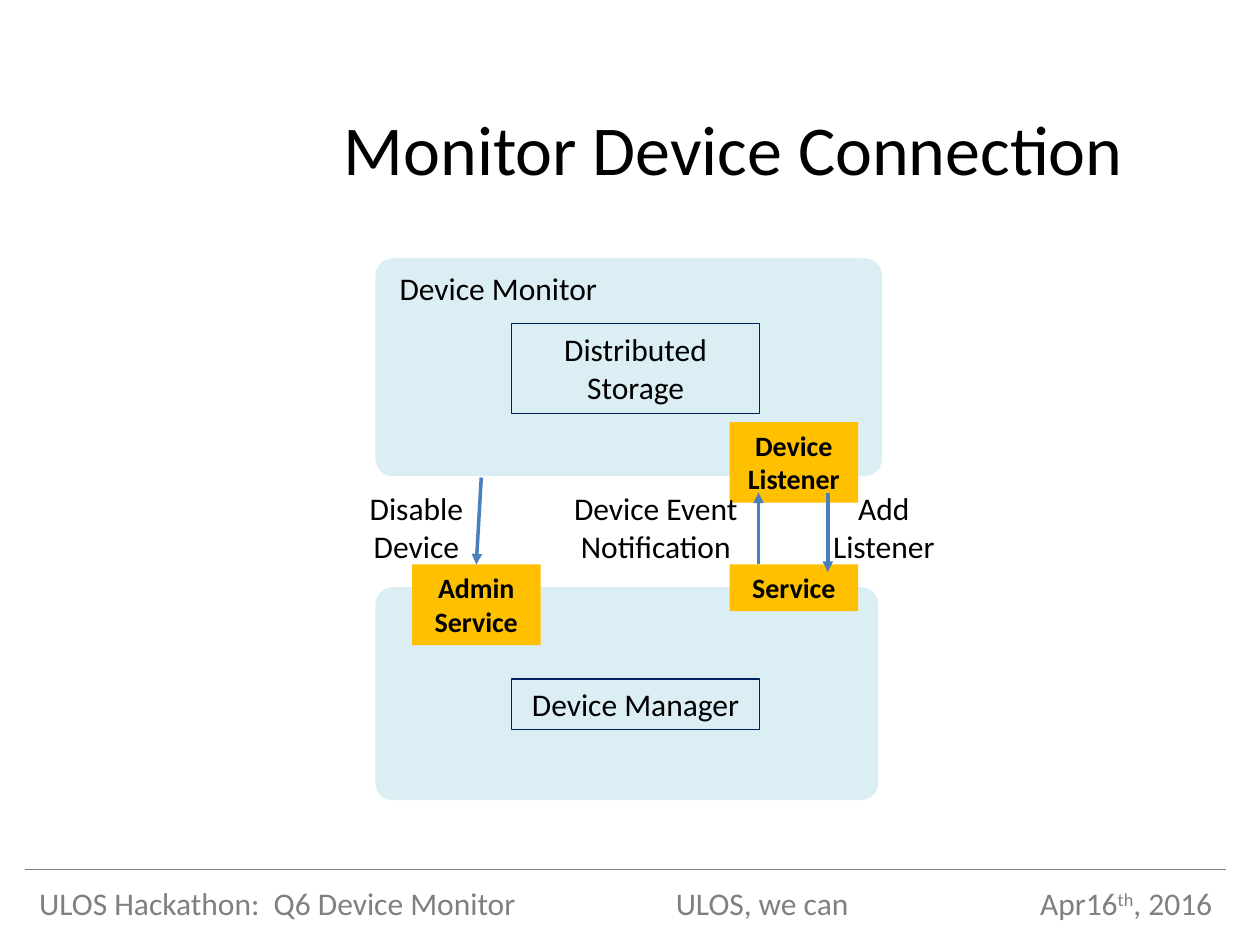
import pptx
import pptx.util
import pptx.dml.color
import pptx.enum.dml
import pptx.enum.shapes
import pptx.enum.text
import pptx.oxml.ns
import lxml.etree

Inches = pptx.util.Inches
Pt = pptx.util.Pt
RGB = pptx.dml.color.RGBColor
Shape = pptx.enum.shapes.MSO_SHAPE
Align = pptx.enum.text.PP_ALIGN
Anchor = pptx.enum.text.MSO_ANCHOR
Fit = pptx.enum.text.MSO_AUTO_SIZE

BLACK = RGB(0x00, 0x00, 0x00)
GREY = RGB(0x80, 0x80, 0x80)
PALE = RGB(0xDB, 0xEE, 0xF4)
GOLD = RGB(0xFF, 0xC0, 0x00)
NAVY = RGB(0x00, 0x20, 0x60)
BLUE = RGB(0x4B, 0x7E, 0xBC)

BODY = {"size": Pt(18), "name": "Calibri", "bold": False}
HEAD = {**BODY, "size": Pt(40)}
BOLD = {**BODY, "size": Pt(16), "bold": True}
GROW = {"word_wrap": True, "auto_size": Fit.SHAPE_TO_FIT_TEXT,
        "vertical_anchor": Anchor.TOP}
FIXED = {**GROW, "auto_size": Fit.NONE}


def apply(target, values):
    for name, value in values.items():
        setattr(target, name, value)


def place(box, left, top, width, height):
    """Turn an offset within a box into slide lengths."""
    return [Inches(v) for v in (box[0] + left, box[1] + top, width, height)]


def write(shape, lines, font=BODY, color=BLACK, align=Align.CENTER, frame=GROW):
    """Fill a shape with paragraphs, each a list of (text, baseline) runs or a string."""
    apply(shape.text_frame, frame)
    for i, line in enumerate(lines):
        para = shape.text_frame.paragraphs[0] if i == 0 else shape.text_frame.add_paragraph()
        para.alignment = align
        for text, base in [(line, 0)] if isinstance(line, str) else line:
            run = para.add_run()
            run.text = text
            apply(run.font, font)
            run.font.color.rgb = color
            if base:
                run.font._element.set("baseline", str(base * 1000))


def add_text(slide, spot, lines, **style):
    write(slide.shapes.add_textbox(*spot), lines, **style)


def add_block(slide, spot, kind=Shape.RECTANGLE, fill=None, line=None):
    block = slide.shapes.add_shape(kind, *spot)
    block.shadow.inherit = False
    if fill is None:
        block.fill.background()
    else:
        block.fill.solid()
        block.fill.fore_color.rgb = fill
    if line is None:
        block.line.fill.background()
    else:
        block.line.color.rgb = line
        block.line.width = Pt(0.75)
    return block


def add_line(slide, start, end, color, width):
    ends = [Inches(v) for v in (*start, *end)]
    line = slide.shapes.add_connector(pptx.enum.shapes.MSO_CONNECTOR.STRAIGHT, *ends)
    line.line.color.rgb = color
    line.line.width = Pt(width)
    lxml.etree.SubElement(line._element.spPr, pptx.oxml.ns.qn("a:effectLst"))
    return line


def add_arrow(slide, start, end):
    arrow = add_line(slide, start, end, BLUE, 2)
    tail = lxml.etree.SubElement(arrow.line._get_or_add_ln(), pptx.oxml.ns.qn("a:tailEnd"))
    tail.set("type", "triangle")
    return arrow


def add_panel(slide, box):
    panel = add_block(slide, place(box, 0, 0, *box[2:]), Shape.ROUNDED_RECTANGLE, PALE)
    panel.adjustments[0] = 0.08


def add_part(slide, box, top, height, text):
    """Outlined part inside a panel."""
    part = add_block(slide, place(box, 1.08, top, 1.97, height), line=NAVY)
    write(part, [text])


def add_tag(slide, box, left, top, height, lines):
    """Gold interface tag on the edge of a panel."""
    tag = add_block(slide, place(box, left, top, 1.02, height), fill=GOLD)
    write(tag, lines, font=BOLD)
    return tag


def draw_monitor(slide, box):
    add_panel(slide, box)
    add_part(slide, box, 0.52, 0.71, "Distributed Storage")
    add_tag(slide, box, 2.81, 1.3, 0.64, ["Device", "Listener"])
    add_text(slide, place(box, 0.07, 0, 1.81, 0.47), ["Device Monitor"],
             frame={**FIXED, "vertical_anchor": Anchor.MIDDLE})


def draw_manager(slide, box):
    add_panel(slide, box)
    admin = add_tag(slide, box, 0.29, -0.18, 0.64, ["Admin Service"])
    add_tag(slide, box, 2.81, -0.18, 0.37, ["Service"])
    add_part(slide, box, 0.73, 0.4, "Device Manager")
    return admin


def draw_calls(slide, box, admin):
    """Arrows and labels between the two panels."""
    x, y = box[:2]
    add_arrow(slide, (x + 4.25, y + 0.08), (x + 4.25, y + 0.71))
    add_arrow(slide, (x + 3.7, y + 0.65), (x + 3.7, y + 0.08))
    add_arrow(slide, (x + 1.5, y - 0.04), (x + 1.46, y + 0.65)).end_connect(admin, 0)
    for left, width, lines in (
        (1.9, 1.97, ["Device Event Notification"]),
        (4.18, 1.03, ["Add Listener"]),
        (0, 1.97, ["Disable", "Device"]),
    ):
        add_text(slide, place(box, left, 0, width, box[3]), lines)


def draw_title(slide, box):
    add_text(slide, place(box, 0, 0, *box[2:]), ["Monitor Device Connection"], font=HEAD,
             align=Align.LEFT, frame={**FIXED, "vertical_anchor": Anchor.BOTTOM})


def draw_footer(slide, box):
    x, y, width, height = box
    rule = add_line(slide, (x, y), (x + width, y), GREY, 0.2)
    rule.line.dash_style = pptx.enum.dml.MSO_LINE.ROUND_DOT
    for left, wide, line in (
        (-0.08, 4.13, "ULOS Hackathon:  Q6 Device Monitor "),
        (4.98, 1.71, "ULOS, we can "),
        (7.92, 1.6, [("Apr16", 0), ("th", 30), (", 2016", 0)]),
    ):
        add_text(slide, place(box, left, 0.07, wide, height), [line], color=GREY,
                 align=Align.RIGHT, frame={**GROW, "word_wrap": False})


def main():
    deck = pptx.Presentation()
    apply(deck, {"slide_width": Inches(10), "slide_height": Inches(7.5)})
    slide = deck.slides.add_slide(deck.slide_layouts[6])
    draw_footer(slide, (0.2, 6.9, 9.52, 0.4))
    draw_title(slide, (2.63, 0.3, 6.86, 1.25))
    draw_monitor(slide, (2.98, 2.05, 4.02, 1.73))
    admin = draw_manager(slide, (2.98, 4.66, 3.99, 1.69))
    draw_calls(slide, (2.32, 3.83, 5.21, 0.71), admin)
    deck.save("out.pptx")


if __name__ == "__main__":
    main()
